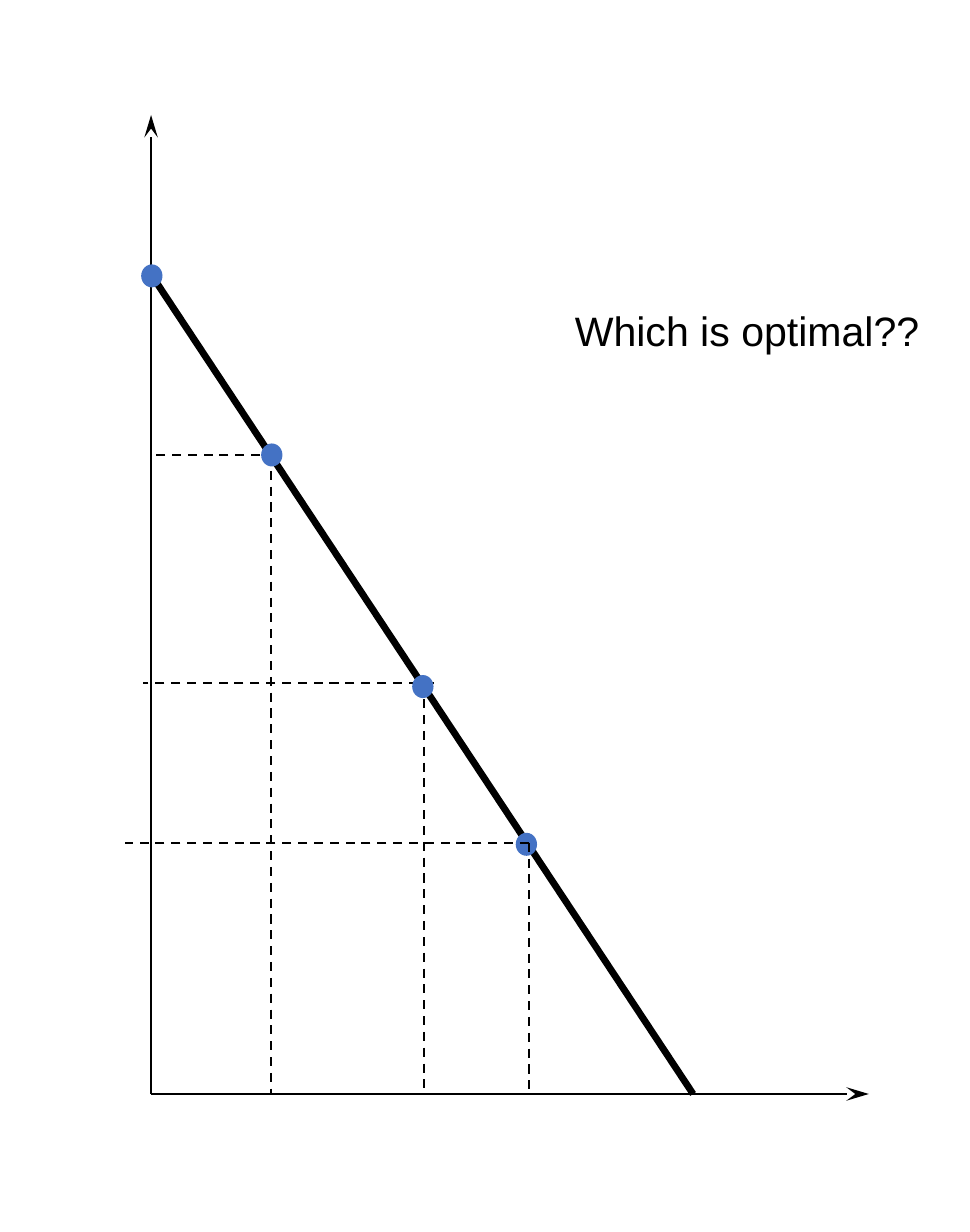
from dataclasses import dataclass

from lxml.etree import SubElement
from pptx import Presentation
from pptx.dml.color import RGBColor
from pptx.enum.dml import MSO_LINE
from pptx.enum.shapes import MSO_CONNECTOR, MSO_SHAPE
from pptx.enum.text import MSO_AUTO_SIZE
from pptx.oxml.ns import qn
from pptx.slide import Slide
from pptx.util import Inches, Pt


@dataclass(frozen=True)
class Theme:
    ink: RGBColor = RGBColor(0x00, 0x00, 0x00)
    dot: RGBColor = RGBColor(0x44, 0x72, 0xC4)
    font: str = "Arial"
    text_size: int = 18
    thin: int = 1
    thick: int = 3


@dataclass(frozen=True)
class Segment:
    x1: float
    y1: float
    x2: float
    y2: float
    width: int
    dashed: bool = False
    arrow: bool = False


@dataclass(frozen=True)
class Choice:
    dot_left: float
    dot_top: float
    corner_x: float
    corner_y: float
    guide_start: float
    guide_end: float
    dot_on_top: bool = True


THEME = Theme()
CM_PER_INCH = 2.54
ORIGIN_X, ORIGIN_Y = 0.92, 6.66
DOT_W, DOT_H = 0.13, 0.14

AXES_AND_BUDGET = [
    Segment(ORIGIN_X, ORIGIN_Y, ORIGIN_X, 0.7, THEME.thin, arrow=True),
    Segment(ORIGIN_X, ORIGIN_Y, 5.29, ORIGIN_Y, THEME.thin, arrow=True),
    Segment(ORIGIN_X, 1.67, 4.22, ORIGIN_Y, THEME.thick),
]
CHOICES = [
    Choice(1.59, 2.7, 1.65, 2.77, 1.68, 0.93),
    Choice(3.14, 5.07, 3.22, 5.13, 3.22, 0.76, dot_on_top=False),
    Choice(2.51, 4.11, 2.58, 4.16, 2.64, 0.87),
]


def add_segment(s: Slide, seg: Segment) -> None:
    ends = [Inches(v) for v in (seg.x1, seg.y1, seg.x2, seg.y2)]
    cxn = s.shapes.add_connector(MSO_CONNECTOR.STRAIGHT, *ends)
    cxn.line.color.rgb = THEME.ink
    cxn.line.width = Pt(seg.width)
    if seg.dashed:
        cxn.line.dash_style = MSO_LINE.DASH
    if seg.arrow:
        ln = cxn.line._get_or_add_ln()
        SubElement(ln, qn("a:tailEnd"), type="stealth", w="med", len="lg")
    SubElement(cxn._element.spPr, qn("a:effectLst"))


def add_dot(s: Slide, left: float, top: float) -> None:
    box = [Inches(v) for v in (left, top, DOT_W, DOT_H)]
    sp = s.shapes.add_shape(MSO_SHAPE.OVAL, *box)
    sp.shadow.inherit = False
    sp.fill.solid()
    sp.fill.fore_color.rgb = THEME.dot
    sp.line.fill.background()


def add_choice(s: Slide, c: Choice) -> None:
    if not c.dot_on_top:
        add_dot(s, c.dot_left, c.dot_top)
    for end_x, end_y, start_x in (
        (c.guide_end, c.corner_y, c.guide_start),
        (c.corner_x, ORIGIN_Y, c.corner_x),
    ):
        add_segment(s, Segment(start_x, c.corner_y, end_x, end_y,
                               THEME.thin, dashed=True))
    if c.dot_on_top:
        add_dot(s, c.dot_left, c.dot_top)


def add_question(s: Slide, text: str) -> None:
    sp = s.shapes.add_textbox(Inches(3.5), Inches(1.86), Inches(2.1), Inches(0.3))
    tf = sp.text_frame
    frame_format = {
        "margin_left": 0, "margin_top": 0, "margin_right": 0, "margin_bottom": 0,
        "word_wrap": False, "auto_size": MSO_AUTO_SIZE.SHAPE_TO_FIT_TEXT,
    }
    for name, value in frame_format.items():
        setattr(tf, name, value)
    r = tf.paragraphs[0].add_run()
    r.text = text
    for name, value in {"name": THEME.font, "size": Pt(THEME.text_size)}.items():
        setattr(r.font, name, value)
    r.font.color.rgb = THEME.ink


def main() -> None:
    prs = Presentation()
    prs.slide_width = Inches(15 / CM_PER_INCH)
    prs.slide_height = Inches(7.5)
    s = prs.slides.add_slide(prs.slide_layouts[6])
    for seg in AXES_AND_BUDGET:
        add_segment(s, seg)
    add_dot(s, 0.86, 1.61)
    add_question(s, "Which is optimal??")
    for choice in CHOICES:
        add_choice(s, choice)
    prs.save("out.pptx")


if __name__ == "__main__":
    main()
